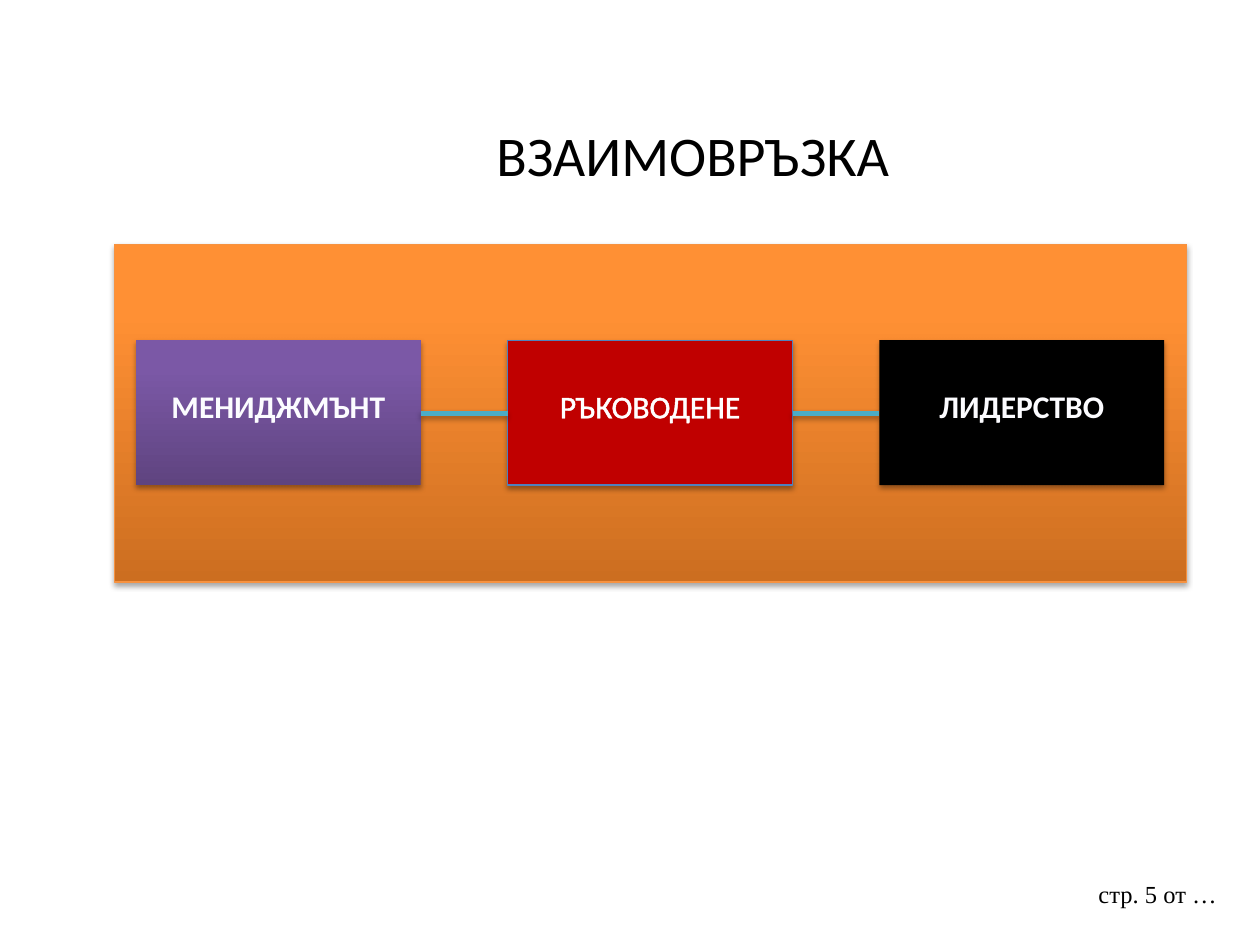
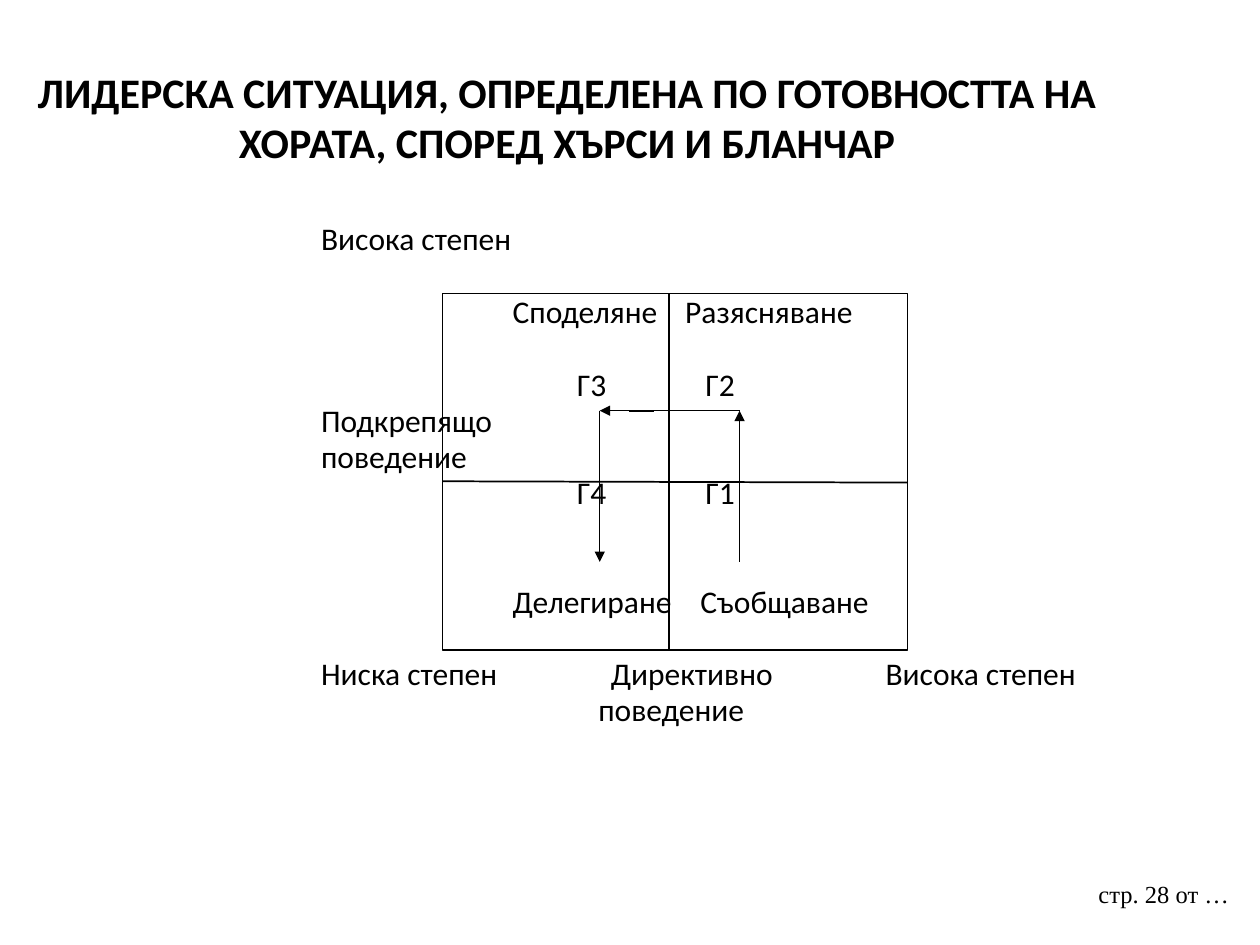
from copy import deepcopy
from dataclasses import dataclass
from typing import Optional

from lxml.etree import SubElement
from pptx import Presentation
from pptx.dml.color import RGBColor
from pptx.enum.shapes import MSO_CONNECTOR, MSO_SHAPE
from pptx.enum.text import MSO_ANCHOR, PP_ALIGN
from pptx.oxml.ns import qn
from pptx.util import Inches, Pt


@dataclass(frozen=True)
class Theme:
    heading_font: str = "Calibri"
    footer_font: str = "Times New Roman"
    black: str = "000000"
    white: str = "FFFFFF"
    soft_white: str = "FCFCFF"
    red: str = "C00000"
    blue: str = "4F81BD"
    teal: str = "4BACC6"
    orange: str = "F69240"
    glow_blue: str = "1E7CEE"
    orange_ramp: tuple = ((0, "CC6E20"), (0.8, "FF9034"), (1, "FF9136"))
    purple_ramp: tuple = ((0, "5F4480"), (0.8, "7B58A6"), (1, "7C57A8"))
    title_size: int = 32
    long_title_size: int = 24
    body_size: int = 18
    footer_size: int = 14


THEME = Theme()


@dataclass(frozen=True)
class Box:
    left: float
    top: float
    width: float
    height: float

    def emu(self) -> list:
        return [Inches(v) for v in (self.left, self.top, self.width, self.height)]


@dataclass(frozen=True)
class Concept:
    label: str
    fill: object
    color: str
    bold: bool
    outline: tuple
    border: Optional[str] = None


@dataclass(frozen=True)
class Segment:
    start: tuple
    end: tuple
    weight: float = 0.75
    color: str = THEME.black
    arrow: bool = False
    shadow: bool = False


@dataclass(frozen=True)
class LabelRow:
    line: int
    labels: tuple  # (x in inches, text)


def style_font(font, size: float, color: str = THEME.black,
               bold: bool = False, name: str = THEME.heading_font) -> None:
    for attribute, value in dict(size=Pt(size), bold=bold, name=name).items():
        setattr(font, attribute, value)
    font.color.rgb = RGBColor.from_string(color)


def add_effects(properties, shadow: bool) -> None:
    effects = SubElement(properties, qn("a:effectLst"))
    if shadow:
        cast = SubElement(effects, qn("a:outerShdw"), blurRad=str(Pt(3.1)),
                          dist=str(Pt(1.8)), dir="5400000", rotWithShape="0")
        tint = SubElement(cast, qn("a:srgbClr"), val=THEME.black)
        SubElement(tint, qn("a:alpha"), val="35000")


def add_text(slide, box: Box, text: str, anchor=MSO_ANCHOR.TOP,
             align=PP_ALIGN.LEFT, **font_format) -> None:
    frame = slide.shapes.add_textbox(*box.emu()).text_frame
    frame.word_wrap = True
    frame.vertical_anchor = anchor
    paragraph = frame.paragraphs[0]
    paragraph.alignment = align
    run = paragraph.add_run()
    run.text = text
    style_font(run.font, **font_format)


def add_title(slide, box: Box, text: str, size: int, bold: bool = False) -> None:
    add_text(slide, box, text, MSO_ANCHOR.MIDDLE, PP_ALIGN.CENTER, size=size, bold=bold)


def add_footer(slide, page: int) -> None:
    add_text(slide, Box(8.62, 6.93, 1.3, 0.52), f"стр. {page} от …",
             size=THEME.footer_size, name=THEME.footer_font)


def add_panel(slide, box: Box, fill, border: Optional[str] = None, shadow: bool = False):
    """Draw a rectangle; fill is a colour or a ramp of (position, colour)."""
    panel = slide.shapes.add_shape(MSO_SHAPE.RECTANGLE, *box.emu())
    if isinstance(fill, str):
        panel.fill.solid()
        panel.fill.fore_color.rgb = RGBColor.from_string(fill)
    else:
        panel.fill.gradient()
        panel.fill.gradient_angle = 90
        stops = panel._element.spPr.find(".//" + qn("a:gsLst"))
        stops.insert(1, deepcopy(stops[0]))
        for stop, (position, color) in zip(panel.fill.gradient_stops, fill):
            stop.position = position
            stop.color.rgb = RGBColor.from_string(color)
    if border:
        panel.line.color.rgb = RGBColor.from_string(border)
        panel.line.width = Pt(0.75)
    else:
        panel.line.fill.background()
    add_effects(panel._element.spPr, shadow)
    return panel


def add_concept(slide, box: Box, concept: Concept) -> None:
    panel = add_panel(slide, box, concept.fill, concept.border, shadow=True)
    frame = panel.text_frame
    settings = dict(word_wrap=True, vertical_anchor=MSO_ANCHOR.MIDDLE,
                    margin_bottom=Inches(0.16))
    for attribute, value in settings.items():
        setattr(frame, attribute, value)
    paragraph = frame.paragraphs[0]
    paragraph.alignment = PP_ALIGN.CENTER
    run = paragraph.add_run()
    run.text = concept.label
    style_font(run.font, THEME.body_size, concept.color, concept.bold)
    # Letter outline goes ahead of the letter fill
    color, width, opacity = concept.outline
    run_properties = run._r.get_or_add_rPr()
    outline = SubElement(run_properties, qn("a:ln"), w=str(Pt(width)))
    run_properties.insert(0, outline)
    tint = SubElement(SubElement(outline, qn("a:solidFill")), qn("a:srgbClr"), val=color)
    SubElement(tint, qn("a:alpha"), val=str(opacity * 1000))


def add_segment(slide, segment: Segment) -> None:
    ends = [Inches(v) for v in (*segment.start, *segment.end)]
    link = slide.shapes.add_connector(MSO_CONNECTOR.STRAIGHT, *ends)
    link.line.color.rgb = RGBColor.from_string(segment.color)
    link.line.width = Pt(segment.weight)
    if segment.arrow:
        SubElement(link.line._get_or_add_ln(), qn("a:tailEnd"), type="triangle")
    add_effects(link._element.spPr, segment.shadow)


def add_label_rows(slide, box: Box, rows: list) -> None:
    """Set the labels on a line grid, each at its own tab stop."""
    line_pitch, line_gap, inset = 20.87, 3.3, 0.1
    frame = slide.shapes.add_textbox(*box.emu()).text_frame
    frame.word_wrap = True
    previous = None
    for row in rows:
        first = previous is None
        paragraph = frame.paragraphs[0] if first else frame.add_paragraph()
        tabs = SubElement(paragraph._p.get_or_add_pPr(), qn("a:tabLst"))
        for x, _ in row.labels:
            SubElement(tabs, qn("a:tab"), pos=str(Inches(x - box.left - inset)), algn="l")
        paragraph.line_spacing = 0.8
        if not first:
            paragraph.space_before = Pt(line_gap + (row.line - previous - 1) * line_pitch)
        run = paragraph.add_run()
        run.text = "".join("\t" + text for _, text in row.labels)
        style_font(run.font, THEME.body_size)
        previous = row.line


def build_relation_slide(slide) -> None:
    add_footer(slide, 5)
    add_title(slide, Box(1, 0.6, 9, 1.25), "ВЗАИМОВРЪЗКА", THEME.title_size)
    add_panel(slide, Box(0.91, 1.94, 8.51, 2.68), THEME.orange_ramp, THEME.orange, shadow=True)

    # Three linked concepts
    glow = (THEME.glow_blue, 0.07, 55)
    concepts = [
        Concept("МЕНИДЖМЪНТ", THEME.purple_ramp, THEME.soft_white, True, glow),
        Concept("РЪКОВОДЕНЕ", THEME.red, THEME.white, False,
                (THEME.white, 1.45, 100), THEME.blue),
        Concept("ЛИДЕРСТВО", THEME.black, THEME.soft_white, True, glow),
    ]
    left, step, width, middle = 1.08, 2.95, 2.26, 3.28
    for index, concept in enumerate(concepts):
        add_concept(slide, Box(left + index * step, 2.7, width, 1.15), concept)
    for index in range(len(concepts) - 1):
        start = left + index * step + width
        add_segment(slide, Segment((start, middle), (left + (index + 1) * step, middle),
                                   3, THEME.teal, shadow=True))


def build_readiness_slide(slide) -> None:
    add_footer(slide, 28)
    grid = Box(3.51, 2.33, 3.69, 2.83)
    add_panel(slide, grid, THEME.white, THEME.black)
    add_title(slide, Box(0, 0.3, 9, 1.25),
              "ЛИДЕРСКА СИТУАЦИЯ, ОПРЕДЕЛЕНА ПО ГОТОВНОСТТА НА ХОРАТА, "
              "СПОРЕД ХЪРСИ И БЛАНЧАР", THEME.long_title_size, bold=True)

    # Axis and quadrant labels
    axis_x, style_x, left_x, right_x = 2.55, 4.07, 4.58, 5.6
    add_label_rows(slide, Box(1.38, 1.75, 7.62, 4.95), [
        LabelRow(0, ((axis_x, "Висока степен"),)),
        LabelRow(2, ((style_x, "Споделяне"), (5.44, "Разясняване"))),
        LabelRow(4, ((left_x, "Г3"), (right_x, "Г2"))),
        LabelRow(5, ((axis_x, "Подкрепящо"),)),
        LabelRow(6, ((axis_x, "поведение"),)),
        LabelRow(7, ((left_x, "Г4"), (right_x, "Г1"))),
        LabelRow(10, ((style_x, "Делегиране"), (5.56, "Съобщаване"))),
        LabelRow(12, ((axis_x, "Ниска степен"), (4.85, "Директивно"),
                      (7.03, "Висока степен"))),
        LabelRow(13, ((4.75, "поведение"),)),
    ])

    # Quadrant dividers and the path from Г1 to Г4
    path_left, path_right, path_top, path_bottom = 4.76, 5.87, 3.26, 4.46
    divider_x = 5.31
    for segment in (
        Segment((grid.left, 3.82), (grid.left + grid.width, 3.83), 1),
        Segment((path_right, path_bottom), (path_right, path_top), arrow=True),
        Segment((path_right, path_top), (path_left, path_top), arrow=True),
        Segment((path_left, path_top), (path_left, path_bottom), arrow=True),
        Segment((4.99, path_top), (5.19, path_top), 1),
        Segment((divider_x, grid.top), (divider_x, grid.top + grid.height)),
    ):
        add_segment(slide, segment)


def main() -> None:
    deck = Presentation()
    deck.slide_width, deck.slide_height = Inches(10), Inches(7.5)
    for build in (build_relation_slide, build_readiness_slide):
        build(deck.slides.add_slide(deck.slide_layouts[6]))
    deck.save("out.pptx")


if __name__ == "__main__":
    main()
